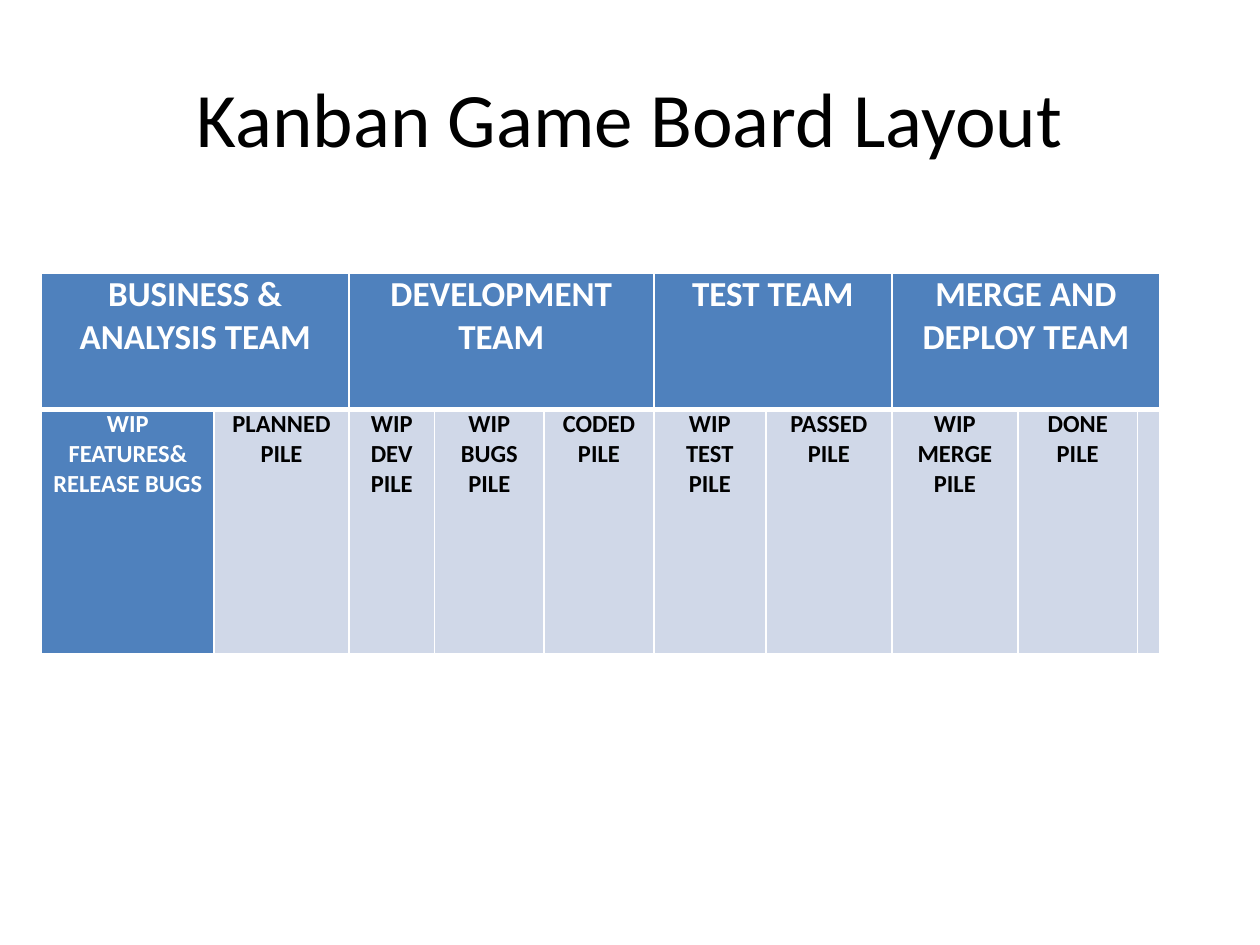
"""Build the Kanban game board layout slide."""
from lxml.etree import SubElement
from pptx import Presentation
from pptx.dml.color import RGBColor
from pptx.enum.text import MSO_ANCHOR, PP_ALIGN
from pptx.oxml.ns import qn
from pptx.util import Inches, Pt

COLORS = {"header": "4F81BD", "body": "D0D8E8", "white": "FFFFFF", "black": "000000"}
COLUMN_WIDTHS = [1.37, 1.07, 0.68, 0.87, 0.87, 0.89, 1, 1, 0.95, 0.13]
ROW_HEIGHTS = [1.08, 1.94]
TEAMS = [
    ("BUSINESS & ANALYSIS TEAM", 2),
    ("DEVELOPMENT TEAM", 3),
    ("TEST TEAM", 2),
    ("MERGE AND DEPLOY TEAM", 3),
]
PILES = [
    "WIP\nFEATURES& RELEASE BUGS",
    "PLANNED\nPILE",
    "WIP DEV\nPILE",
    "WIP BUGS\nPILE",
    "CODED PILE",
    "WIP TEST\nPILE",
    "PASSED PILE",
    "WIP MERGE PILE",
    "DONE PILE",
    "",
]


def write_text(text_frame, text, size, color, bold=False):
    text_frame.text = text
    text_frame.word_wrap = True
    for paragraph in text_frame.paragraphs:
        paragraph.alignment = PP_ALIGN.CENTER
        paragraph.font.size = Pt(size)
        for run in paragraph.runs:
            run.font.name = "Calibri"
            run.font.size = Pt(size)
            run.font.bold = bold
            run.font.color.rgb = RGBColor.from_string(COLORS[color])


def format_cell(cell, fill, borders):
    cell.margin_left = cell.margin_right = Inches(0.07)
    cell.margin_top = cell.margin_bottom = 0
    properties = cell._tc.get_or_add_tcPr()
    for side, width in borders.items():
        line = SubElement(properties, qn(f"a:ln{side}"), w=str(Pt(width)))
        line_fill = SubElement(line, qn("a:solidFill"))
        SubElement(line_fill, qn("a:srgbClr"), val=COLORS["white"])
    cell.fill.solid()
    cell.fill.fore_color.rgb = RGBColor.from_string(COLORS[fill])


presentation = Presentation()
presentation.slide_width = Inches(10)
presentation.slide_height = Inches(7.5)
slide = presentation.slides.add_slide(presentation.slide_layouts[5])

title = slide.shapes.title
title.left, title.top = Inches(0.5), Inches(0.3)
title.width, title.height = Inches(9), Inches(1.25)
title.text_frame.vertical_anchor = MSO_ANCHOR.MIDDLE
write_text(title.text_frame, "Kanban Game Board Layout", size=44, color="black")

board = slide.shapes.add_table(
    len(ROW_HEIGHTS), len(COLUMN_WIDTHS),
    Inches(0.33), Inches(2.17), Inches(sum(COLUMN_WIDTHS)), Inches(sum(ROW_HEIGHTS)),
).table
for column, width in zip(board.columns, COLUMN_WIDTHS):
    column.width = Inches(width)
for row, height in zip(board.rows, ROW_HEIGHTS):
    row.height = Inches(height)

for index, pile in enumerate(PILES):
    format_cell(board.cell(0, index), "header", {"L": 1, "R": 1, "T": 1, "B": 3})
    cell = board.cell(1, index)
    first = index == 0
    format_cell(cell, "header" if first else "body", {"L": 1, "R": 1, "T": 3, "B": 1})
    write_text(cell.text_frame, pile, size=14, color="white" if first else "black", bold=True)

start = 0
for team, span in TEAMS:
    cell = board.cell(0, start)
    cell.merge(board.cell(0, start + span - 1))
    write_text(cell.text_frame, team, size=20, color="white", bold=True)
    start += span

presentation.save("out.pptx")
